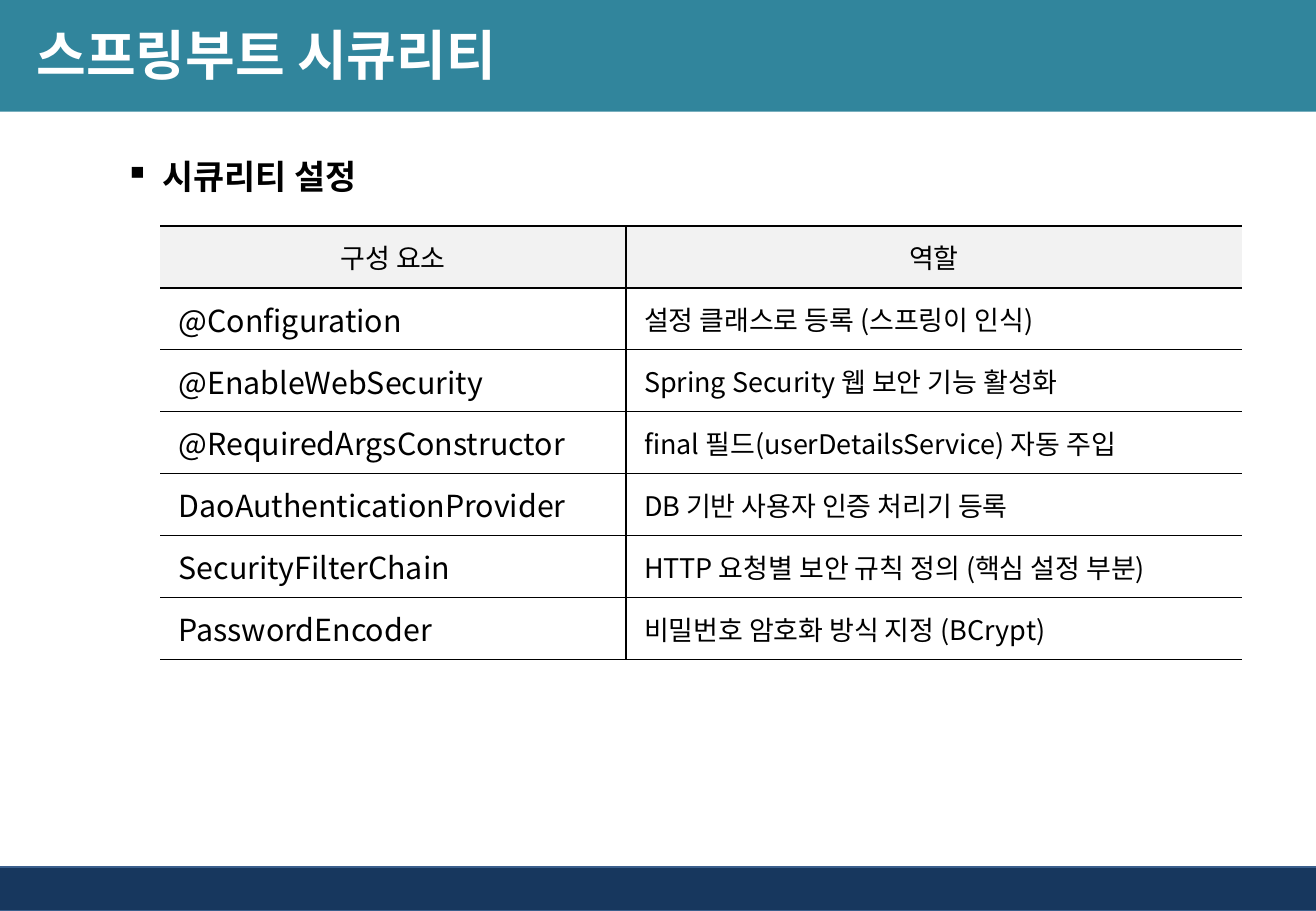
from dataclasses import dataclass
from lxml.etree import SubElement
from pptx import Presentation
from pptx.dml.color import RGBColor
from pptx.enum.shapes import MSO_SHAPE
from pptx.enum.text import MSO_ANCHOR, PP_ALIGN
from pptx.oxml.ns import qn
from pptx.util import Inches, Pt


@dataclass(frozen=True)
class Theme:
    font: str = "Noto Sans CJK KR"
    teal: str = "31859C"
    navy: str = "17375E"
    navy_edge: str = "3A5F8C"
    header_gray: str = "F2F2F2"
    white: str = "FFFFFF"
    black: str = "000000"
    title_size: int = 32
    heading_size: int = 20
    component_size: int = 18
    role_size: int = 16
    rule_width: int = 1


class SlideBuilder:
    def __init__(self, slide, theme):
        self.slide = slide
        self.theme = theme

    def style(self, paragraph, size, color, bold=False):
        for run in paragraph.runs:
            run.font.size = Pt(size)
            run.font.bold = bold
            run.font.color.rgb = RGBColor.from_string(color)
            run.font.name = self.theme.font
            SubElement(run.font._element, qn("a:ea"), typeface=self.theme.font)

    def band(self, left, top, width, height, fill, edge=None):
        band = self.slide.shapes.add_shape(
            MSO_SHAPE.RECTANGLE, Inches(left), Inches(top), Inches(width), Inches(height))
        band.shadow.inherit = False
        band.fill.solid()
        band.fill.fore_color.rgb = RGBColor.from_string(fill)
        if edge:
            band.line.color.rgb = RGBColor.from_string(edge)
            band.line.width = Pt(self.theme.rule_width)
        else:
            band.line.fill.background()

    def text_frame(self, left, top, width, height):
        frame = self.slide.shapes.add_textbox(
            Inches(left), Inches(top), Inches(width), Inches(height)).text_frame
        frame.word_wrap = True
        return frame

    def title(self, wording):
        frame = self.text_frame(0, -0.03, 8.74, 0.94)
        frame.margin_left = Inches(0.3)
        frame.vertical_anchor = MSO_ANCHOR.MIDDLE
        frame.text = wording
        self.style(frame.paragraphs[0], self.theme.title_size, self.theme.white, True)

    def heading(self, wording):
        frame = self.text_frame(0.93, 1.07, 6.69, 0.56)
        frame.text = wording
        paragraph = frame.paragraphs[0]
        paragraph.line_spacing = 1.5
        properties = paragraph._p.get_or_add_pPr()
        properties.set("marL", str(Inches(0.31)))
        properties.set("indent", str(-Inches(0.31)))
        SubElement(properties, qn("a:buChar"), char="▪")
        self.style(paragraph, self.theme.heading_size, self.theme.black, True)

    def borders(self, cell, ruled_sides):
        properties = cell._tc.get_or_add_tcPr()
        for side in "LRTB":
            rule = SubElement(properties, qn(f"a:ln{side}"), w=str(Pt(self.theme.rule_width)))
            if side in ruled_sides:
                fill = SubElement(rule, qn("a:solidFill"))
                SubElement(fill, qn("a:srgbClr"), val=self.theme.black)
            else:
                SubElement(rule, qn("a:noFill"))

    def table(self, left, top, column_widths, row_height, rows):
        table = self.slide.shapes.add_table(
            len(rows), len(column_widths), Inches(left), Inches(top),
            Inches(sum(column_widths)), Inches(row_height * len(rows))).table
        table.first_row = False
        table.horz_banding = False
        for column, width in zip(table.columns, column_widths):
            column.width = Inches(width)
        for row_index, row in enumerate(rows):
            for column_index, wording in enumerate(row):
                cell = table.cell(row_index, column_index)
                is_header = row_index == 0
                is_component = column_index == 0
                self.borders(cell, "RTB" if is_component else "LTB")
                cell.vertical_anchor = MSO_ANCHOR.MIDDLE
                cell.text = wording
                paragraph = cell.text_frame.paragraphs[0]
                if is_header:
                    cell.fill.solid()
                    cell.fill.fore_color.rgb = RGBColor.from_string(self.theme.header_gray)
                    paragraph.alignment = PP_ALIGN.CENTER
                else:
                    cell.fill.background()
                    cell.margin_left = Inches(0.15)
                size = (self.theme.component_size if is_component and not is_header
                        else self.theme.role_size)
                self.style(paragraph, size, self.theme.black)


SECURITY_COMPONENTS = [
    ("구성 요소", "역할"),
    ("@Configuration", "설정 클래스로 등록 (스프링이 인식)"),
    ("@EnableWebSecurity", "Spring Security 웹 보안 기능 활성화"),
    ("@RequiredArgsConstructor", "final 필드(userDetailsService) 자동 주입"),
    ("DaoAuthenticationProvider", "DB 기반 사용자 인증 처리기 등록"),
    ("SecurityFilterChain", "HTTP 요청별 보안 규칙 정의 (핵심 설정 부분)"),
    ("PasswordEncoder", "비밀번호 암호화 방식 지정 (BCrypt)"),
]


def main():
    presentation = Presentation()
    presentation.slide_width = Inches(10.83)
    presentation.slide_height = Inches(7.5)
    theme = Theme()
    builder = SlideBuilder(
        presentation.slides.add_slide(presentation.slide_layouts[6]), theme)
    builder.band(-0.04, 7.14, 10.88, 0.36, theme.navy, theme.navy_edge)
    builder.band(0, 0, 10.83, 0.92, theme.teal)
    builder.title("스프링부트 시큐리티")
    builder.heading("시큐리티 설정")
    builder.table(1.32, 1.86, (3.83, 5.07), 0.51, SECURITY_COMPONENTS)
    presentation.save("out.pptx")


if __name__ == "__main__":
    main()
